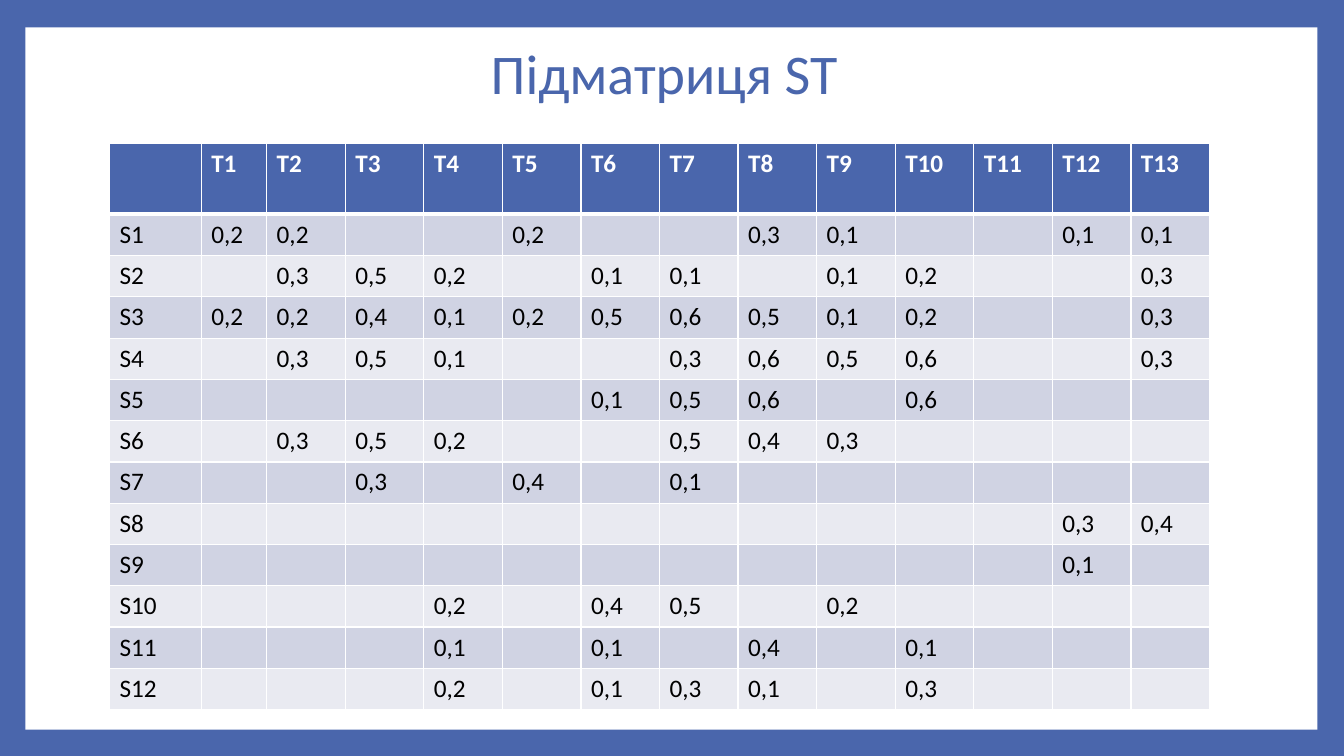
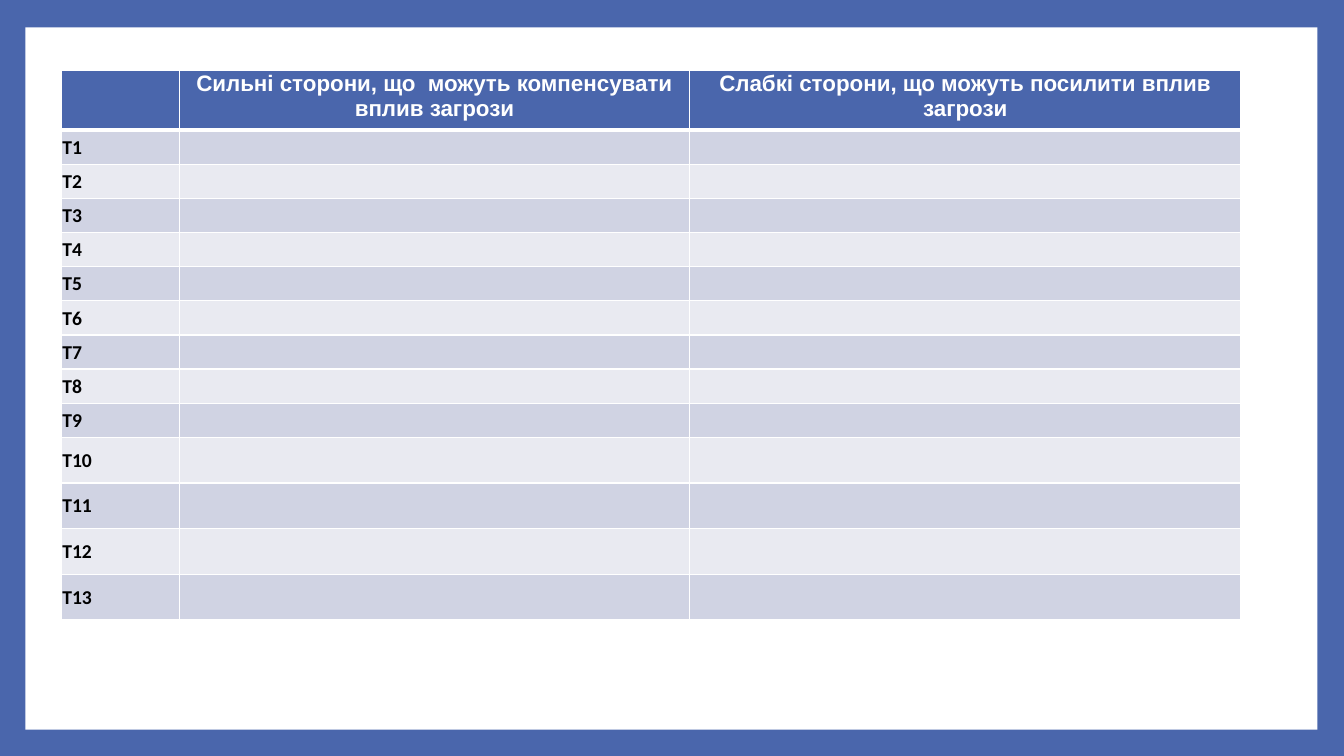
from lxml.etree import SubElement
from pptx import Presentation
from pptx.dml.color import RGBColor
from pptx.enum.shapes import MSO_SHAPE
from pptx.enum.text import MSO_ANCHOR, PP_ALIGN
from pptx.oxml.ns import qn
from pptx.util import Cm, Pt

BLUE = RGBColor(0x4A, 0x66, 0xAC)
WHITE = RGBColor(0xFF, 0xFF, 0xFF)
BLACK = RGBColor(0x00, 0x00, 0x00)
BAND_DARK = RGBColor(0xD0, 0xD3, 0xE3)
BAND_LIGHT = RGBColor(0xE9, 0xEA, 0xF1)
BODY_FONT = "Calibri"
HEADER_FONT = "Arial"

THREATS = [f"T{number}" for number in range(1, 14)]
# One character per threat: tenths of a point, or a dot for an empty cell.
STRENGTH_TENTHS = [
    "22..2..31..11",
    ".352.11.12..3",
    "2241256512..3",
    ".351..3656..3",
    ".....156.6...",
    ".352..543....",
    "..3.4.1......",
    "...........34",
    "...........1.",
    "...2.45.2....",
    "...1.1.4.1...",
    "...2.131.3...",
]


def style_font(font, name, size, color, bold=False):
    font.name = name
    font.size = Pt(size)
    font.color.rgb = color
    font.bold = bold


def add_framed_slide(presentation):
    """Add a blank slide with a white panel on a blue background."""
    slide = presentation.slides.add_slide(presentation.slide_layouts[6])
    slide.background.fill.solid()
    slide.background.fill.fore_color.rgb = BLUE
    panel = slide.shapes.add_shape(
        MSO_SHAPE.RECTANGLE, Cm(0.64), Cm(0.69), Cm(32.56), Cm(17.7))
    panel.shadow.inherit = False
    panel.fill.solid()
    panel.fill.fore_color.rgb = WHITE
    panel.line.fill.background()
    return slide


def add_title(slide, text):
    title = slide.shapes.add_textbox(Cm(3.02), Cm(0.05), Cm(27.43), Cm(3.76))
    frame = title.text_frame
    frame.word_wrap = True
    frame.vertical_anchor = MSO_ANCHOR.MIDDLE
    paragraph = frame.paragraphs[0]
    paragraph.text = text
    paragraph.alignment = PP_ALIGN.CENTER
    paragraph.line_spacing = 0.9
    style_font(paragraph.font, BODY_FONT, 40, BLUE)


def set_borders(cell, top=1, bottom=1):
    """Draw white cell borders; widths are in points."""
    properties = cell._tc.get_or_add_tcPr()
    for side, width in (("L", 1), ("R", 1), ("T", top), ("B", bottom)):
        line = SubElement(properties, qn(f"a:ln{side}"), w=str(Pt(width)))
        fill = SubElement(line, qn("a:solidFill"))
        SubElement(fill, qn("a:srgbClr"), val=str(WHITE))


def add_banded_table(slide, left, top, widths, heights, rows):
    """Add a table with a blue header over alternating bands; sizes in cm."""
    table = slide.shapes.add_table(
        len(rows), len(widths), Cm(left), Cm(top),
        Cm(sum(widths)), Cm(sum(heights))).table
    for column, width in zip(table.columns, widths):
        column.width = Cm(width)
    for index, (row, height, texts) in enumerate(zip(table.rows, heights, rows)):
        row.height = Cm(height)
        if index == 0:
            color = BLUE
        else:
            color = BAND_DARK if index % 2 else BAND_LIGHT
        for cell, text in zip(row.cells, texts):
            set_borders(cell, top=3 if index == 1 else 1,
                        bottom=3 if index == 0 else 1)
            cell.fill.solid()
            cell.fill.fore_color.rgb = color
            cell.text = text
    return table


def add_matrix_slide(presentation):
    slide = add_framed_slide(presentation)
    rows = [["", *THREATS]]
    for number, tenths in enumerate(STRENGTH_TENTHS, start=1):
        values = ["" if digit == "." else f"0,{digit}" for digit in tenths]
        rows.append([f"S{number}", *values])
    table = add_banded_table(
        slide, 2.76, 3.61, [2.31, 1.65] + [1.98] * 12, [1.79] + [1.04] * 12, rows)
    for index, row in enumerate(table.rows):
        is_header = index == 0
        for cell in row.cells:
            style_font(cell.text_frame.paragraphs[0].font, BODY_FONT, 18,
                       WHITE if is_header else BLACK, bold=is_header)
    add_title(slide, "Підматриця ST")


def add_threats_slide(presentation):
    slide = add_framed_slide(presentation)
    header = ["", "Сильні сторони, що  можуть компенсувати вплив загрози",
              "Слабкі сторони, що можуть посилити вплив загрози"]
    rows = [header] + [[threat, "", ""] for threat in THREATS]
    table = add_banded_table(
        slide, 1.55, 1.78, [2.97, 12.86, 13.89],
        [1.5] + [0.86] * 9 + [1.15] * 4, rows)
    for index, row in enumerate(table.rows):
        for cell in row.cells:
            cell.margin_left = cell.margin_right = cell.margin_top = Cm(0.02)
            cell.margin_bottom = 0
            paragraph = cell.text_frame.paragraphs[0]
            if index == 0:
                paragraph.alignment = PP_ALIGN.CENTER
                style_font(paragraph.font, HEADER_FONT, 16, WHITE, bold=True)
            else:
                cell.vertical_anchor = MSO_ANCHOR.MIDDLE
                style_font(paragraph.font, BODY_FONT, 14, BLACK, bold=True)


def main():
    presentation = Presentation()
    presentation.slide_width = Cm(33.87)
    presentation.slide_height = Cm(19.05)
    add_matrix_slide(presentation)
    add_threats_slide(presentation)
    presentation.save("out.pptx")


if __name__ == "__main__":
    main()
